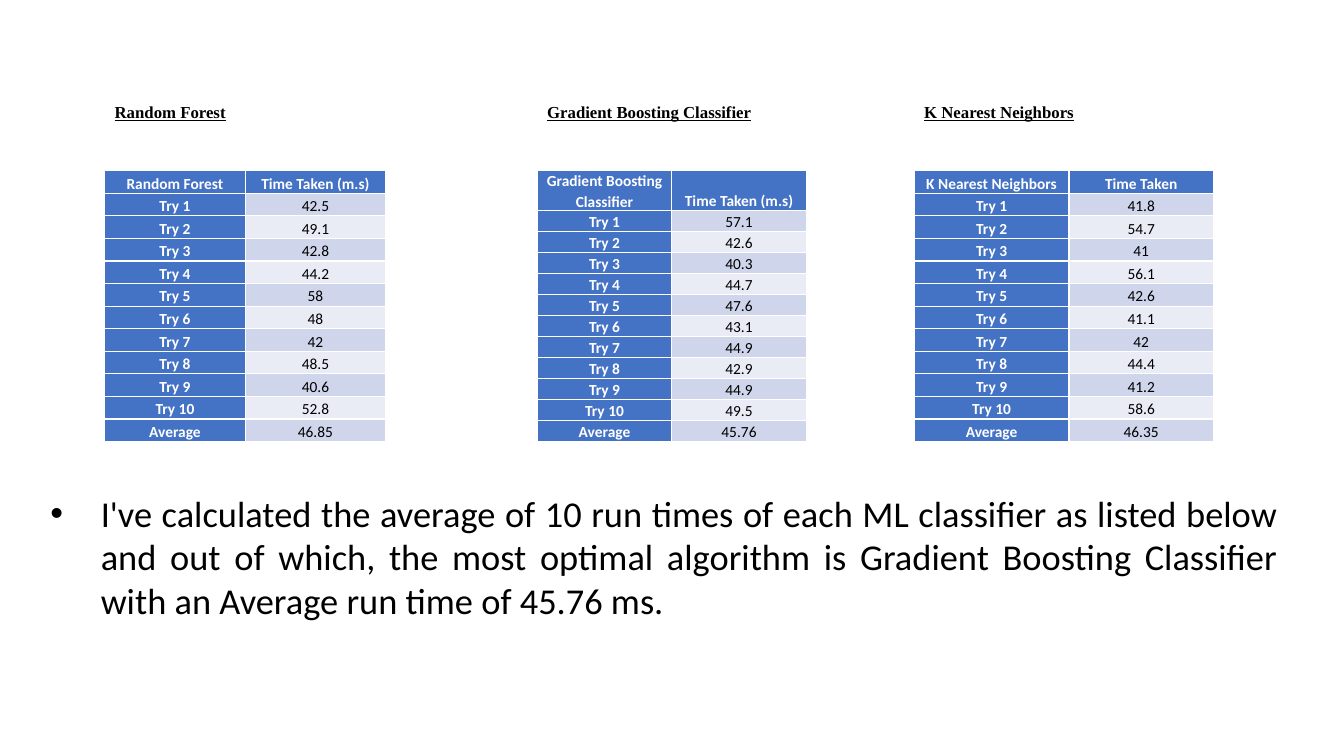
from pptx import Presentation
from pptx.dml.color import RGBColor
from pptx.enum.text import MSO_ANCHOR, PP_ALIGN
from pptx.oxml import parse_xml
from pptx.oxml.ns import nsdecls
from pptx.util import Cm, Pt

BLUE = RGBColor(0x44, 0x72, 0xC4)
BANDS = (RGBColor(0xCF, 0xD5, 0xEA), RGBColor(0xE9, 0xEB, 0xF5))
WHITE = RGBColor(0xFF, 0xFF, 0xFF)
BLACK = RGBColor(0, 0, 0)
CENTER, JUSTIFY = PP_ALIGN.CENTER, PP_ALIGN.JUSTIFY
BOTTOM = MSO_ANCHOR.BOTTOM

# Content: name, time heading, left, column widths, row height (cm), times
CLASSIFIERS = [
    ("Random Forest", "Time Taken (m.s)", 2.64, (3.54, 3.54), 0.57,
     ["42.5", "49.1", "42.8", "44.2", "58", "48", "42", "48.5", "40.6", "52.8", "46.85"]),
    ("Gradient Boosting Classifier", "Time Taken (m.s)", 13.54, (3.39, 3.39), 0.53,
     ["57.1", "42.6", "40.3", "44.7", "47.6", "43.1", "44.9", "42.9", "44.9", "49.5", "45.76"]),
    ("K Nearest Neighbors", "Time Taken", 23.04, (3.9, 3.64), 0.57,
     ["41.8", "54.7", "41", "56.1", "42.6", "41.1", "42", "44.4", "41.2", "58.6", "46.35"]),
]
ROW_LABELS = [f"Try {n}" for n in range(1, 11)] + ["Average"]
CONCLUSION = ("I've calculated the average of 10 run times of each ML classifier as listed below "
              "and out of which, the most optimal algorithm is Gradient Boosting Classifier "
              "with an Average run time of 45.76 ms.")

# Text formats
HEADING = {"name": "Times New Roman", "size": Pt(12), "bold": True, "underline": True}
LABEL = {"name": "Calibri", "size": Pt(11), "bold": True}
VALUE = {**LABEL, "bold": False}
BODY = {"name": "Calibri", "size": Pt(26)}
CELL = {"margin_left": Cm(0.18), "margin_right": Cm(0.18), "margin_top": 0,
        "margin_bottom": 0, "vertical_anchor": BOTTOM}
CELL_PARAGRAPH = {"alignment": CENTER, "line_spacing": 1.07, "space_after": Pt(8)}


def set_all(obj, values):
    for key, value in values.items():
        setattr(obj, key, value)


def write(p, text, font, color):
    r = p.add_run()
    r.text = text
    set_all(r.font, font)
    r.font.color.rgb = color


def add_text(s, text, box, font):
    tf = s.shapes.add_textbox(*map(Cm, box)).text_frame
    tf.word_wrap = True
    p = tf.paragraphs[0]
    write(p, text, font, BLACK)
    return p


def add_times(s, name, time_heading, left, widths, row_height, times):
    rows = [(name, time_heading), *zip(ROW_LABELS, times)]
    frame = s.shapes.add_table(len(rows), len(widths), Cm(left), Cm(4.3),
                               Cm(sum(widths)), Cm(row_height * len(rows)))
    table = frame.table
    table.first_col = True
    for column, width in zip(table.columns, widths):
        column.width = Cm(width)
    for i, texts in enumerate(rows):
        table.rows[i].height = Cm(row_height)
        for j, text in enumerate(texts):
            is_label = i == 0 or j == 0
            cell = table.cell(i, j)
            set_all(cell, CELL)
            cell.fill.solid()
            cell.fill.fore_color.rgb = BLUE if is_label else BANDS[(i - 1) % 2]
            p = cell.text_frame.paragraphs[0]
            set_all(p, CELL_PARAGRAPH)
            write(p, text, LABEL if is_label else VALUE, WHITE if is_label else BLACK)


def main():
    prs = Presentation()
    prs.slide_width, prs.slide_height = Cm(33.87), Cm(19.05)
    s = prs.slides.add_slide(prs.slide_layouts[6])

    # Headings and tables
    for classifier in CLASSIFIERS:
        name, _, left, widths, _, _ = classifier
        add_text(s, name, (left, 2.44, sum(widths), 0.75), HEADING)
        add_times(s, *classifier)

    # Conclusion with a hanging bullet
    p = add_text(s, CONCLUSION, (1.02, 12.24, 31.47, 3.58), BODY)
    p.alignment = JUSTIFY
    pPr = p._p.get_or_add_pPr()
    pPr.set("marL", str(Cm(1.27)))
    pPr.set("indent", str(Cm(-1.27)))
    pPr.append(parse_xml(f'<a:buFont {nsdecls("a")} typeface="Arial"/>'))
    pPr.append(parse_xml(f'<a:buChar {nsdecls("a")} char="•"/>'))

    prs.save("out.pptx")


if __name__ == "__main__":
    main()
